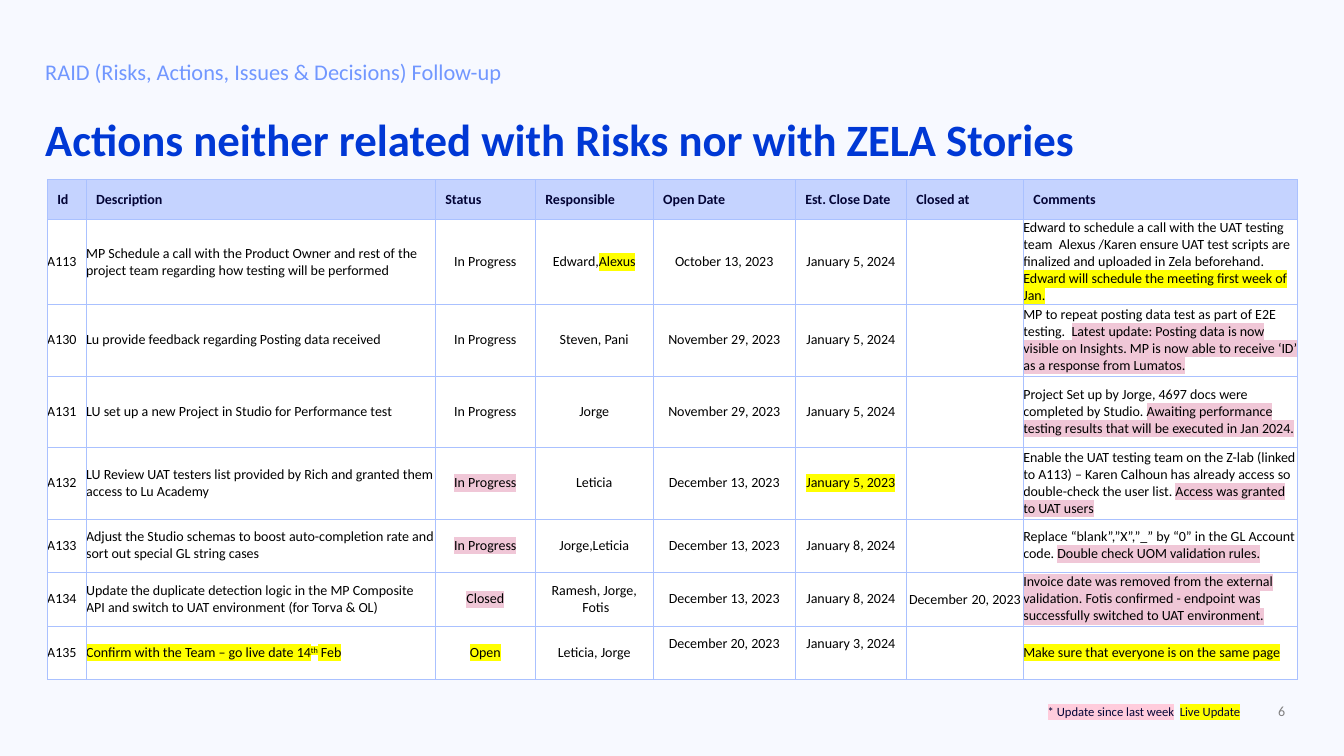
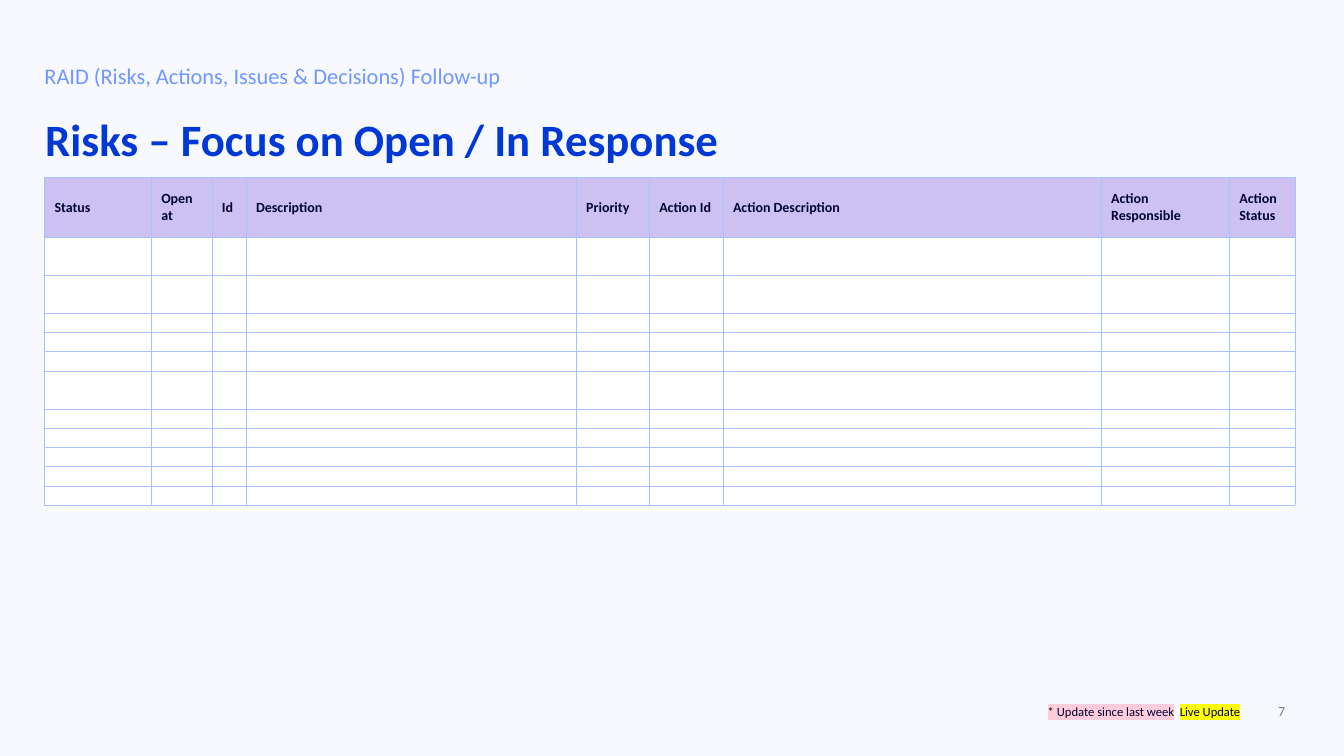
from dataclasses import dataclass

from lxml import etree
from pptx import Presentation
from pptx.dml.color import RGBColor
from pptx.enum.text import MSO_ANCHOR, MSO_AUTO_SIZE, PP_ALIGN
from pptx.oxml.ns import qn
from pptx.slide import Slide
from pptx.table import _Cell
from pptx.text.text import TextFrame, _Paragraph, _Run
from pptx.util import Cm, Pt

LEFT, CENTER, RIGHT = PP_ALIGN.LEFT, PP_ALIGN.CENTER, PP_ALIGN.RIGHT
TOP, MIDDLE = MSO_ANCHOR.TOP, MSO_ANCHOR.MIDDLE
NO_AUTOFIT = MSO_AUTO_SIZE.NONE


@dataclass(frozen=True)
class Theme:
    font: str = "Calibri"
    alt_font: str = "Lato"
    background: str = "F7F9FF"
    title: str = "0038D5"
    subtitle: str = "7197FF"
    ink: str = "030436"
    text: str = "000000"
    number: str = "808080"
    white: str = "FFFFFF"
    border: str = "AAC1FF"
    action_header: str = "C5D3FF"
    risk_header: str = "CDC1F2"
    legend_update: str = "FFCCDC"
    update: str = "F0C7D7"
    live: str = "FFFF00"
    title_size: float = 32
    subtitle_size: float = 16
    table_size: float = 10
    legend_size: float = 9
    border_width: float = 0.25


THEME = Theme()


@dataclass(frozen=True)
class Span:
    text: str
    highlight: str = ""
    superscript: bool = False
    font: str = THEME.font
    size: float = THEME.table_size
    new_paragraph: bool = False


Text = str | tuple[Span, ...]


@dataclass(frozen=True)
class Box:
    left: float
    top: float
    width: float
    height: float


@dataclass(frozen=True)
class Column:
    heading: str
    width: float
    align: PP_ALIGN = LEFT


@dataclass(frozen=True)
class TableSpec:
    left: float
    top: float
    header_fill: str
    columns: tuple[Column, ...]
    heights: tuple[float, ...]
    rows: tuple[tuple[Text, ...], ...] = ()


@dataclass(frozen=True)
class Page:
    number: int
    title: str
    subtitle_box: Box
    table: TableSpec


def live(text: str) -> Span:
    return Span(text, THEME.live)


def update(text: str) -> Span:
    return Span(text, THEME.update)


TITLE_BOX = Box(1.14, 2.67, 31.5, 1.63)
NUMBER_BOX = Box(25.02, 17.58, 7.62, 0.69)
LEGEND_BOX = Box(25.45, 17.22, 6.76, 1.4)
SUBTITLE = "RAID (Risks, Actions, Issues & Decisions) Follow-up"
LEGEND = (
    Span("* Update since last week", THEME.legend_update, size=THEME.legend_size),
    Span("  ", size=THEME.legend_size),
    Span("Live Update", THEME.live, size=THEME.legend_size),
)
RAISED_ID = "A135"
RAISED_COLUMNS = ("Open Date", "Est. Close Date")
RAISED_MARGIN = 0.43

ACTIONS = TableSpec(
    1.19, 4.52, THEME.action_header,
    (
        Column("Id", 0.98), Column("Description", 8.8), Column("Status", 2.52, CENTER),
        Column("Responsible", 2.97, CENTER), Column("Open Date", 3.58, CENTER),
        Column("Est. Close Date", 2.8, CENTER), Column("Closed at", 2.95, CENTER),
        Column("Comments", 6.9),
    ),
    (1.01, 2.03, 1.8, 1.8, 1.8, 1.35, 1.35, 1.35),
    (
        ("A113",
         "MP Schedule a call with the Product Owner and rest of the project team "
         "regarding how testing will be performed",
         "In Progress", (Span("Edward,"), live("Alexus")), "October 13, 2023",
         "January 5, 2024", "",
         (Span("Edward to schedule a call with the UAT testing team  Alexus /Karen ensure "
               "UAT test scripts are finalized and uploaded in Zela beforehand. "),
          live("Edward will schedule the meeting first week of Jan."))),
        ("A130", "Lu provide feedback regarding Posting data received",
         "In Progress", "Steven, Pani", "November 29, 2023", "January 5, 2024", "",
         (Span("MP to repeat posting data test as part of E2E testing.  "),
          update("Latest update: Posting data is now visible on Insights. MP is now able to "
                 "receive ‘ID’ as a response from Lumatos."))),
        ("A131", "LU set up a new Project in Studio for Performance test",
         "In Progress", "Jorge", "November 29, 2023", "January 5, 2024", "",
         (Span("Project Set up by Jorge, 4697 docs were completed by Studio. "),
          update("Awaiting performance testing results that will be executed in Jan 2024."))),
        ("A132",
         "LU Review UAT testers list provided by Rich and granted them access to Lu Academy",
         (update("In Progress"),), "Leticia", "December 13, 2023",
         (live("January 5, 2023"),), "",
         (Span("Enable the UAT testing team on the Z-lab (linked to A113) – Karen Calhoun "
               "has already access so double-check the user list. "),
          update("Access was granted to UAT users"))),
        ("A133",
         "Adjust the Studio schemas to boost auto-completion rate and sort out special GL "
         "string cases",
         (update("In Progress"),), "Jorge,Leticia", "December 13, 2023",
         "January 8, 2024", "",
         (Span("Replace “blank”,”X”,”_” by “0” in the GL Account code. "),
          update("Double check UOM validation rules."))),
        ("A134",
         "Update the duplicate detection logic in the MP Composite API and switch to UAT "
         "environment (for Torva & OL)",
         (update("Closed"),),
         (Span("Ramesh, Jorge,"), Span(" Fotis", new_paragraph=True)),
         "December 13, 2023", "January 8, 2024",
         (Span("December"), Span(" ", font=THEME.alt_font, size=11), Span("20, 2023")),
         (update("Invoice date was removed from the external validation. Fotis confirmed - "
                 "endpoint was successfully switched to UAT environment."),)),
        ("A135",
         (live("Confirm with the Team – go live date 14"),
          Span("th", THEME.live, superscript=True), live(" Feb")),
         (live("Open"),), "Leticia, Jorge", "December 20, 2023", "January 3, 2024", "",
         (live("Make sure that everyone is on the same page"),)),
    ),
)

RISKS = TableSpec(
    1.12, 4.47, THEME.risk_header,
    (
        Column("Status", 2.69), Column("Open at", 1.53), Column("Id", 0.86),
        Column("Description", 8.32), Column("Priority", 1.84), Column("Action Id", 1.86),
        Column("Action Description", 9.53), Column("Action Responsible", 3.23),
        Column("Action Status", 1.66),
    ),
    (1.51, 0.96, 0.96, 0.48, 0.48, 0.48, 0.96, 0.48, 0.48, 0.49, 0.49, 0.49),
)

PAGES = (
    Page(6, "Actions neither related with Risks nor with ZELA Stories",
         Box(1.14, 1.19, 31.5, 1.09), ACTIONS),
    Page(7, "Risks – Focus on Open / In Response",
         Box(1.12, 1.3, 31.5, 1.09), RISKS),
)


def lengths(box: Box) -> tuple[Cm, Cm, Cm, Cm]:
    return Cm(box.left), Cm(box.top), Cm(box.width), Cm(box.height)


def format_run(r: _Run, size: float, color: str, bold: bool = False,
               font: str = THEME.font) -> None:
    r.font.name = font
    r.font.size = Pt(size)
    r.font.bold = bold
    r.font.color.rgb = RGBColor.from_string(color)


def add_spans(tf: TextFrame, spans: tuple[Span, ...], color: str, align: PP_ALIGN) -> None:
    p = tf.paragraphs[0]
    p.alignment = align
    for span in spans:
        if span.new_paragraph:
            p = tf.add_paragraph()
            p.alignment = align
        r = p.add_run()
        r.text = span.text
        format_run(r, span.size, color, font=span.font)
        rPr = r._r.get_or_add_rPr()
        if span.superscript:
            rPr.set("baseline", "30000")
        if span.highlight:
            mark = etree.Element(qn("a:highlight"))
            etree.SubElement(mark, qn("a:srgbClr"), val=span.highlight)
            rPr.find(qn("a:solidFill")).addnext(mark)


def fill_placeholder(sp, box: Box, text: str, size: float, color: str,
                     bold: bool, anchor: MSO_ANCHOR) -> _Paragraph:
    sp.left, sp.top, sp.width, sp.height = lengths(box)
    tf = sp.text_frame
    tf.text = text
    tf.auto_size = NO_AUTOFIT
    tf.word_wrap = True
    tf.vertical_anchor = anchor
    tf.margin_left = 0
    p = tf.paragraphs[0]
    p.alignment = LEFT
    format_run(p.runs[0], size, color, bold)
    return p


def add_label(s: Slide, box: Box, spans: tuple[Span, ...], color: str,
              align: PP_ALIGN) -> None:
    tf = s.shapes.add_textbox(*lengths(box)).text_frame
    tf.word_wrap = True
    tf.vertical_anchor = MIDDLE
    add_spans(tf, spans, color, align)


def style_cell(cell: _Cell, fill: str) -> None:
    cell.vertical_anchor = MIDDLE
    cell.fill.solid()
    cell.fill.fore_color.rgb = RGBColor.from_string(fill)
    tcPr = cell._tc.get_or_add_tcPr()
    for i, side in enumerate(("lnL", "lnR", "lnT", "lnB")):
        ln = etree.Element(qn(f"a:{side}"), w=str(Pt(THEME.border_width)))
        solid = etree.SubElement(ln, qn("a:solidFill"))
        etree.SubElement(solid, qn("a:srgbClr"), val=THEME.border)
        tcPr.insert(i, ln)


def fill_cell(cell: _Cell, text: Text, align: PP_ALIGN) -> None:
    style_cell(cell, THEME.white)
    cell.margin_left = cell.margin_right = cell.margin_top = cell.margin_bottom = 0
    if text:
        spans = (Span(text),) if isinstance(text, str) else text
        add_spans(cell.text_frame, spans, THEME.text, align)
    else:
        p = cell.text_frame.paragraphs[0]
        etree.SubElement(p._p, qn("a:endParaRPr"), sz=str(int(THEME.table_size * 100)))


def add_raid_table(s: Slide, spec: TableSpec) -> None:
    box = Box(spec.left, spec.top, sum(c.width for c in spec.columns), sum(spec.heights))
    table = s.shapes.add_table(len(spec.heights), len(spec.columns), *lengths(box)).table
    table.horz_banding = False
    for row, height in zip(table.rows, spec.heights):
        row.height = Cm(height)
    for j, column in enumerate(spec.columns):
        table.columns[j].width = Cm(column.width)
        header = table.cell(0, j)
        header.text_frame.text = column.heading
        style_cell(header, spec.header_fill)
        format_run(header.text_frame.paragraphs[0].runs[0], THEME.table_size, THEME.ink, True)
        for i in range(1, len(spec.heights)):
            values = spec.rows[i - 1] if spec.rows else ()
            cell = table.cell(i, j)
            fill_cell(cell, values[j] if values else "", column.align)
            if values and values[0] == RAISED_ID and column.heading in RAISED_COLUMNS:
                cell.margin_bottom = Cm(RAISED_MARGIN)


def add_page(prs, page: Page) -> None:
    s = prs.slides.add_slide(prs.slide_layouts[1])
    fill_placeholder(s.shapes.title, TITLE_BOX, page.title, THEME.title_size,
                     THEME.title, True, MIDDLE)
    p = fill_placeholder(s.placeholders[1], page.subtitle_box, SUBTITLE,
                         THEME.subtitle_size, THEME.subtitle, False, TOP)
    p.line_spacing = 1.2
    p.space_before, p.space_after = Pt(10), Pt(6)
    pPr = p._p.get_or_add_pPr()
    pPr.set("marL", "0")
    pPr.set("indent", "0")
    etree.SubElement(pPr, qn("a:buNone"))
    add_raid_table(s, page.table)
    add_label(s, LEGEND_BOX, LEGEND, THEME.ink, CENTER)
    add_label(s, NUMBER_BOX, (Span(str(page.number)),), THEME.number, RIGHT)


def main() -> None:
    prs = Presentation()
    prs.slide_width, prs.slide_height = Cm(33.87), Cm(19.05)
    fill = prs.slide_master.background.fill
    fill.solid()
    fill.fore_color.rgb = RGBColor.from_string(THEME.background)
    for page in PAGES:
        add_page(prs, page)
    prs.save("out.pptx")


if __name__ == "__main__":
    main()
